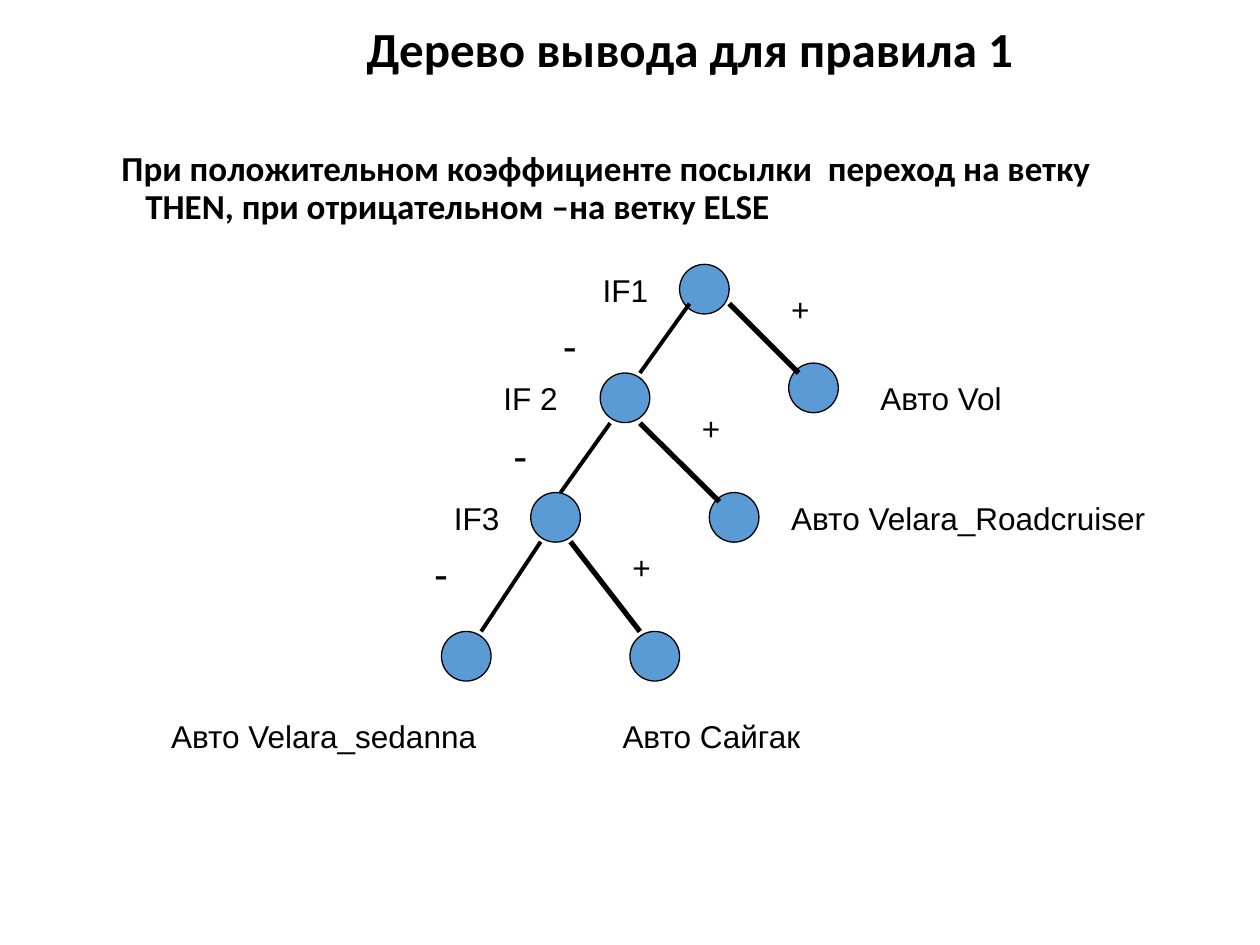
from lxml.etree import SubElement
from pptx import Presentation
from pptx.dml.color import RGBColor
from pptx.enum.shapes import MSO_CONNECTOR as Link, MSO_SHAPE as Shape
from pptx.enum.text import MSO_ANCHOR as Anchor, MSO_AUTO_SIZE as Fit, PP_ALIGN as Align
from pptx.oxml.ns import qn
from pptx.util import Cm, Pt

BLACK = RGBColor(0x00, 0x00, 0x00)
BLUE = RGBColor(0x5B, 0x9B, 0xD5)
WHITE = RGBColor(0xFF, 0xFF, 0xFF)

NODES = [(13.7, 5.33), (12.1, 7.52), (10.7, 9.93), (8.9, 12.73),
         (15.9, 7.32), (12.7, 12.73), (14.3, 9.93)]
THEN = [(14.7, 6.12, 16.1, 7.52), (12.9, 8.53, 14.5, 10.11), (11.5, 10.92, 12.9, 12.73)]
ELSE = [(13.9, 6.12, 12.9, 7.52), (12.3, 8.53, 11.3, 9.93), (10.9, 10.92, 9.7, 12.73)]
LABELS = [("IF1", 11.9, 5.33, 1.6), ("IF 2", 9.9, 7.52, 1.8), ("IF3", 8.9, 9.93, 1.6),
          ("Авто Velara_sedanna", 3.2, 14.33, 7.3), ("Авто Сайгак", 12.3, 14.33, 7.8),
          ("Авто Velara_Roadcruiser", 15.7, 9.93, 8), ("Авто Vol", 17.5, 7.52, 3.8)]
PLUS = [(15.7, 5.72), (13.9, 8.13), (12.5, 10.92)]
MINUS = [(11.1, 6.32), (10.1, 8.53), (8.5, 10.92)]


def add_run(para, text, size, font="Arial", bold=False):
    """Add one formatted run to a paragraph."""
    run = para.add_run()
    run.text = text
    run.font.name = font
    run.font.size = Pt(size)
    run.font.bold = bold
    run.font.color.rgb = BLACK


def set_title(slide, text):
    """Place and fill the title."""
    title = slide.shapes.title
    title.left, title.top, title.width, title.height = Cm(4.75), Cm(0), Cm(18.31), Cm(2.08)
    frame = title.text_frame
    frame.auto_size = Fit.NONE
    frame.vertical_anchor = Anchor.MIDDLE
    para = frame.paragraphs[0]
    para.alignment = Align.CENTER
    para.line_spacing = 0.9
    add_run(para, text, 28, "Calibri", True)


def add_body(slide, text):
    """Add the rule text with a hanging indent."""
    box = slide.shapes.add_textbox(Cm(2.2), Cm(2.92), Cm(21.51), Cm(13.69))
    box.text_frame.word_wrap = True
    para = box.text_frame.paragraphs[0]
    para.line_spacing = 0.9
    props = para._p.get_or_add_pPr()
    props.set("marL", str(Cm(0.48)))
    props.set("indent", str(Cm(-0.48)))
    add_run(para, text, 20, "Calibri", True)


def add_node(slide, left, top):
    """Add one tree node."""
    node = slide.shapes.add_shape(Shape.OVAL, Cm(left), Cm(top), Cm(1), Cm(1))
    node.shadow.inherit = False
    node.fill.solid()
    node.fill.fore_color.rgb = BLUE
    node.line.color.rgb = BLACK
    node.line.width = Pt(0.75)


def add_edge(slide, ends, width):
    """Add one tree branch."""
    edge = slide.shapes.add_connector(Link.STRAIGHT, *map(Cm, ends))
    edge.line.color.rgb = BLACK
    edge.line.width = Pt(width)
    SubElement(edge._element.spPr, qn("a:effectLst"))


def add_label(slide, text, left, top, width, size=18):
    """Add a label beside a node or branch."""
    high = 1.02 if size == 18 else 1.27
    box = slide.shapes.add_textbox(Cm(left), Cm(top), Cm(width), Cm(high))
    frame = box.text_frame
    frame.word_wrap = True
    frame.auto_size = Fit.SHAPE_TO_FIT_TEXT
    add_run(frame.paragraphs[0], text, size)


def main():
    """Build the slide and save it."""
    deck = Presentation()
    deck.slide_width, deck.slide_height = Cm(25.4), Cm(19.05)
    slide = deck.slides.add_slide(deck.slide_layouts[5])
    slide.background.fill.solid()
    slide.background.fill.fore_color.rgb = WHITE
    set_title(slide, "Дерево вывода для правила 1")
    add_body(slide, "При положительном коэффициенте посылки  переход на ветку THEN, "
                    "при отрицательном –на ветку ELSE")
    for spot in NODES:
        add_node(slide, *spot)
    for edges, width in ((THEN, 3), (ELSE, 2.25)):
        for ends in edges:
            add_edge(slide, ends, width)
    for label in LABELS:
        add_label(slide, *label)
    for sign, spots, width, size in (("+", PLUS, 1, 18), ("-", MINUS, 1.2, 24)):
        for spot in spots:
            add_label(slide, sign, *spot, width, size)
    deck.save("out.pptx")


if __name__ == "__main__":
    main()
